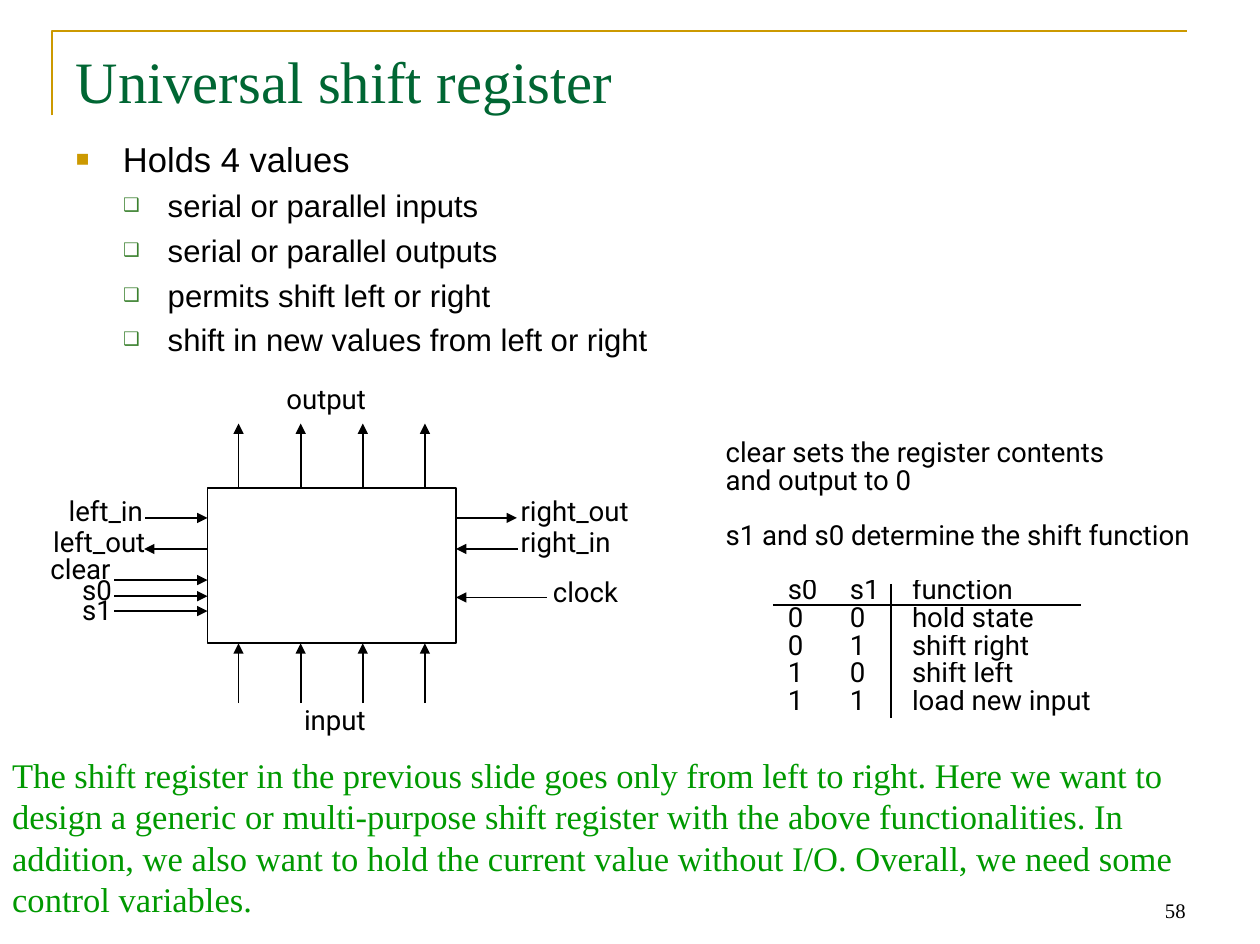
import pptx
import pptx.util
import pptx.dml.color
import pptx.enum.shapes
import pptx.enum.text
import pptx.oxml
import pptx.oxml.ns

Inches = pptx.util.Inches
Pt = pptx.util.Pt
ALIGN = pptx.enum.text.PP_ALIGN
ANCHOR = pptx.enum.text.MSO_ANCHOR
FIT = pptx.enum.text.MSO_AUTO_SIZE

COLORS = {
    "ink": "000000", "paper": "FFFFFF", "gold": "CC9900",
    "title": "006633", "leaf": "3B812F", "note": "009900",
}
TIGHT = {"margin_left": Inches(0.02), "margin_right": Inches(0.02),
         "margin_top": Inches(0.03), "margin_bottom": Inches(0.03)}


def color(name):
    return pptx.dml.color.RGBColor.from_string(COLORS[name])


def apply(target, values):
    for key, value in values.items():
        setattr(target, key, value)


def add_xml(parent, tag, **values):
    node = pptx.oxml.parse_xml(f"<{tag} {pptx.oxml.ns.nsdecls('a')}/>")
    for key, value in values.items():
        node.set(key, str(value))
    parent.append(node)
    return node


class Deck:
    def __init__(self, width, height):
        self.show = pptx.Presentation()
        self.show.slide_width = Inches(width)
        self.show.slide_height = Inches(height)
        self.slide = self.show.slides.add_slide(self.show.slide_layouts[1])
        self.shapes = self.slide.shapes

    def fill_in(self, para, text, size, face, ink="ink", **form):
        para.text = text
        apply(para, form)
        apply(para.font, {"size": Pt(size), "name": face})
        para.font.color.rgb = color(ink)

    def place(self, shape, left, top, width, height):
        apply(shape, {"left": Inches(left), "top": Inches(top),
                      "width": Inches(width), "height": Inches(height)})

    def title(self, text, box):
        shape = self.shapes.title
        self.place(shape, *box)
        apply(shape.text_frame, {"vertical_anchor": ANCHOR.TOP, "auto_size": FIT.NONE})
        self.fill_in(shape.text_frame.paragraphs[0], text, 34, "Times New Roman",
                     "title", alignment=ALIGN.LEFT)

    def bullets(self, items, box):
        """Fill the body with (level, text) items."""
        shape = self.slide.placeholders[1]
        self.place(shape, *box)
        frame = shape.text_frame
        apply(frame, {"auto_size": FIT.NONE, "vertical_anchor": ANCHOR.TOP})
        looks = [(0.38, -0.38, "gold", 65, "■", 20), (0.74, -0.36, "leaf", 60, "❑", 18)]
        for index, (level, text) in enumerate(items):
            para = frame.add_paragraph() if index else frame.paragraphs[0]
            left, indent, ink, scale, mark, size = looks[level]
            props = para._p.get_or_add_pPr()
            props.set("marL", str(Inches(left)))
            props.set("indent", str(Inches(indent)))
            tint = add_xml(props, "a:buClr")
            add_xml(tint, "a:srgbClr", val=COLORS[ink])
            add_xml(props, "a:buSzPct", val=scale * 1000)
            add_xml(props, "a:buChar", char=mark)
            self.fill_in(para, text, size, "Arial", level=level,
                         space_before=Pt(4.3 if index else 0))

    def text(self, box, lines, size=16, face="Roboto", frame=None, **form):
        shape = self.shapes.add_textbox(*map(Inches, box))
        apply(shape.text_frame, {"word_wrap": False, **TIGHT, **(frame or {})})
        for index, line in enumerate(lines):
            para = (shape.text_frame.add_paragraph() if index
                    else shape.text_frame.paragraphs[0])
            gap = Pt(16 if index else 0)
            self.fill_in(para, line, size, face, space_before=gap, **form)

    def label(self, text, left, top, width, align=ALIGN.LEFT):
        self.text((left, top, width, 0.33), [text],
                  line_spacing=Pt(13.9), alignment=align)

    def block(self, box, fill, edge=None):
        kind = pptx.enum.shapes.MSO_SHAPE.RECTANGLE
        shape = self.shapes.add_shape(kind, *map(Inches, box))
        shape.shadow.inherit = False
        shape.fill.solid()
        shape.fill.fore_color.rgb = color(fill)
        if edge:
            shape.line.color.rgb = color(edge)
            shape.line.width = Pt(1)
        else:
            shape.line.fill.background()
        return shape

    def line(self, start, end, arrow=True):
        kind = pptx.enum.shapes.MSO_CONNECTOR.STRAIGHT
        link = self.shapes.add_connector(kind, *map(Inches, (*start, *end)))
        link.line.color.rgb = color("ink")
        link.line.width = Pt(1)
        if arrow:
            add_xml(link.line._get_or_add_ln(), "a:tailEnd", type="triangle")
        add_xml(link._element.spPr, "a:effectLst")

    def corner(self, points):
        first, *rest = [tuple(map(Inches, point)) for point in points]
        maker = self.shapes.build_freeform(*first)
        maker.add_line_segments(rest, close=False)
        shape = maker.convert_to_shape()
        shape.shadow.inherit = False
        shape.fill.background()
        shape.line.color.rgb = color("gold")
        shape.line.width = Pt(1.5)

    def table(self, left, top, widths, step, rows):
        frame = self.shapes.add_table(
            len(rows), len(widths), Inches(left), Inches(top),
            Inches(sum(widths)), Inches(step * len(rows)))
        grid = frame.table
        apply(grid, {"first_row": False, "horz_banding": False})
        for column, width in zip(grid.columns, widths):
            column.width = Inches(width)
        for row, values in zip(grid.rows, rows):
            row.height = Inches(step)
            for cell, value in zip(row.cells, values):
                cell.fill.background()
                apply(cell, {"margin_left": Inches(0.12), "margin_right": 0,
                             "margin_top": 0, "margin_bottom": 0})
                self.fill_in(cell.text_frame.paragraphs[0], value, 16, "Roboto",
                             line_spacing=Pt(16))

    def note(self, text, box):
        shape = self.block(box, "paper")
        apply(shape.text_frame, {"word_wrap": True, "vertical_anchor": ANCHOR.TOP,
                                 "auto_size": FIT.SHAPE_TO_FIT_TEXT})
        self.fill_in(shape.text_frame.paragraphs[0], text, 20, "Times New Roman",
                     "note", alignment=ALIGN.LEFT)


def main():
    deck = Deck(10.14, 7.6)
    deck.corner([(0.42, 0.93), (0.42, 0.25), (9.55, 0.25)])
    deck.title("Universal shift register", (0.51, 0.31, 9.12, 1.26))
    deck.bullets([(0, "Holds 4 values"),
                  (1, "serial or parallel inputs"),
                  (1, "serial or parallel outputs"),
                  (1, "permits shift left or right"),
                  (1, "shift in new values from left or right")],
                 (0.51, 1.06, 9.12, 5.02))

    deck.text((5.82, 3.52, 4.26, 1),
              ["clear sets the register contents\vand output to 0",
               "s1 and s0 determine the shift function"], line_spacing=Pt(16))
    deck.table(6.22, 4.66, (0.5, 0.5, 1.8), 0.22,
               [("s0", "s1", "function"), ("0", "0", "hold state"),
                ("0", "1", "shift right"), ("1", "0", "shift left"),
                ("1", "1", "load new input")])
    deck.line((6.22, 4.87), (8.7, 4.87), arrow=False)
    deck.line((7.17, 4.7), (7.17, 5.78), arrow=False)

    left, top, right, base = 1.67, 3.93, 3.67, 5.18
    deck.block((left, top, right - left, base - top), "paper", "ink")
    for index in range(4):
        x = left + 0.25 + 0.5 * index
        deck.line((x, top), (x, 3.41))
        deck.line((x, 5.66), (x, base))
    for start, end, y in [(1.17, left, 4.17), (left, 1.16, 4.42),
                          (0.92, left, 4.67), (0.92, left, 4.8), (0.92, left, 4.92),
                          (right, 4.16, 4.17), (4.17, right, 4.42), (4.4, right, 4.81)]:
        deck.line((start, y), (end, y))

    for name, x, y, width in [("left_in", 0.18, 4.02, 0.99), ("left_out", 0.08, 4.27, 1.11),
                              ("clear", 0.15, 4.49, 0.76), ("s0", 0.24, 4.66, 0.68),
                              ("s1", 0.24, 4.82, 0.68)]:
        deck.label(name, x, y, width, ALIGN.RIGHT)
    for name, x, y, width in [("right_out", 4.17, 4.02, 1.22), ("right_in", 4.17, 4.27, 1.11),
                              ("clock", 4.43, 4.67, 0.76)]:
        deck.label(name, x, y, width)
    deck.label("output", 2.12, 3.12, 1.01, ALIGN.CENTER)
    deck.label("input", 2.25, 5.7, 0.89, ALIGN.CENTER)

    deck.note("The shift register in the previous slide goes only from left to right. "
              "Here we want to design a generic or multi-purpose shift register with the "
              "above functionalities. In addition, we also want to hold the current value "
              "without I/O. Overall, we need some control variables.",
              (0, 6.02, 10.14, 1.43))
    deck.text((7.27, 6.97, 2.37, 0.51), ["58"], 12, "Times New Roman",
              {"word_wrap": True, "vertical_anchor": ANCHOR.BOTTOM,
               "margin_right": Inches(0.1), "margin_bottom": Inches(0.05)},
              alignment=ALIGN.RIGHT)
    deck.show.save("out.pptx")


if __name__ == "__main__":
    main()
